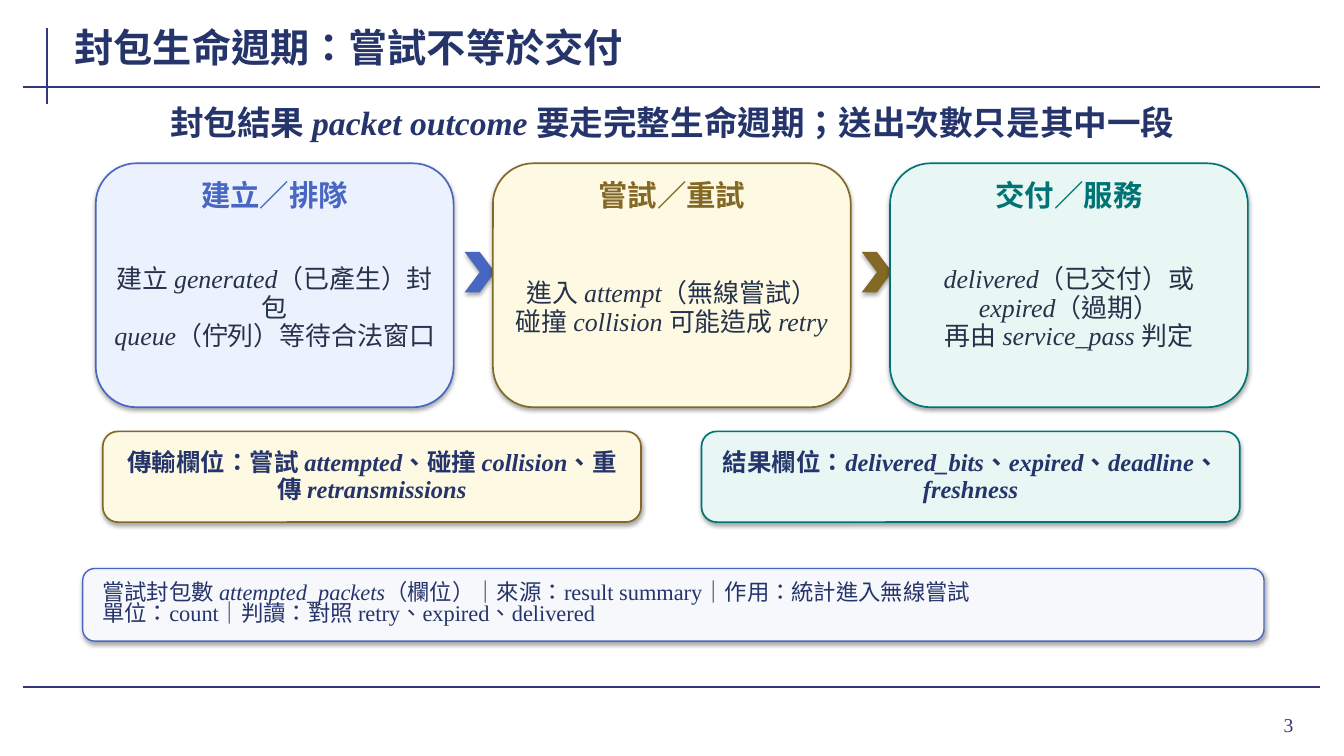
from lxml.etree import SubElement
from pptx import Presentation
from pptx.dml.color import RGBColor as Rgb
from pptx.enum.lang import MSO_LANGUAGE_ID as Lang
from pptx.enum.shapes import MSO_CONNECTOR as Conn, MSO_SHAPE as Form
from pptx.enum.text import MSO_ANCHOR as Anchor, MSO_AUTO_SIZE as Auto, PP_ALIGN as Align
from pptx.oxml.ns import qn
from pptx.util import Pt

HUES = {
    "rule": "35377F", "navy": "25356B", "ink": "25324A", "black": "000000",
    "blue": "4967C2", "gold": "846826", "teal": "007374",
    "blue_bg": "ECF1FE", "gold_bg": "FDF9E2", "teal_bg": "E8F7F4", "note_bg": "F7F8FC",
}
SLIM = (1.44, 0.72)

CARDS = [
    ("blue", "建立／排隊",
     ["建立 *generated*（已產生）封包", "*queue*（佇列）等待合法窗口"]),
    ("gold", "嘗試／重試",
     ["進入 *attempt*（無線嘗試）", "碰撞 *collision* 可能造成 *retry*"]),
    ("teal", "交付／服務",
     ["*delivered*（已交付）或 *expired*（過期）", "再由 *service_pass* 判定"]),
]
STRIPS = [
    ("gold", "傳輸欄位：嘗試 *attempted*、碰撞 *collision*、重傳 *retransmissions*"),
    ("teal", "結果欄位：*delivered_bits*、*expired*、*deadline*、*freshness*"),
]
NOTE = [
    "嘗試封包數 *attempted_packets*（欄位）｜來源：result summary｜作用：統計進入無線嘗試",
    "單位：count｜判讀：對照 retry、expired、delivered",
]


def tint(name):
    return Rgb.from_string(HUES[name])


class Deck:
    def __init__(self):
        self.prs = Presentation()
        self.prs.slide_width, self.prs.slide_height = Pt(960), Pt(540)
        self.slide = self.prs.slides.add_slide(self.prs.slide_layouts[5])
        self.shapes = self.slide.shapes
        self.face = "Times New Roman"

    def label(self, shape, lines, size, hue, bold=False, align=Align.CENTER,
              gap=1.0, pad=SLIM):
        """Fill a shape with paragraphs; *stars* enclose italic words."""
        frame = shape.text_frame
        side, edge = map(Pt, pad)
        form = {"word_wrap": True, "auto_size": Auto.NONE,
                "vertical_anchor": Anchor.MIDDLE,
                "margin_left": side, "margin_right": side,
                "margin_top": edge, "margin_bottom": edge}
        for key, val in form.items():
            setattr(frame, key, val)
        for num, line in enumerate(lines):
            para = frame.add_paragraph() if num else frame.paragraphs[0]
            para.alignment, para.line_spacing = align, gap
            for turn, part in enumerate(line.split("*")):
                if not part:
                    continue
                run = para.add_run()
                run.text = part
                style = {"name": self.face, "size": Pt(size), "bold": bold,
                         "italic": turn % 2 == 1,
                         "language_id": Lang.TRADITIONAL_CHINESE}
                for key, val in style.items():
                    setattr(run.font, key, val)
                run.font.color.rgb = tint(hue)

    def title(self, box, text):
        shape = self.shapes.title
        for key, val in zip(("left", "top", "width", "height"), box):
            setattr(shape, key, Pt(val))
        self.label(shape, [text], 28, "navy", True, Align.LEFT, pad=(1.44, 0))

    def text(self, box, lines, size, hue, **form):
        self.label(self.shapes.add_textbox(*map(Pt, box)), lines, size, hue, **form)

    def block(self, form, box, fill, line=None, width=1.2):
        shape = self.shapes.add_shape(form, *map(Pt, box))
        shape.fill.solid()
        shape.fill.fore_color.rgb = tint(fill)
        if line:
            shape.line.color.rgb = tint(line)
            shape.line.width = Pt(width)
        else:
            shape.line.fill.background()
        self.shade(shape)
        return shape

    def shade(self, shape):
        """Give the shape a soft shadow straight below it."""
        shape.shadow.inherit = False
        glow = SubElement(shape.element.spPr.find(qn("a:effectLst")), qn("a:outerShdw"),
                          blurRad=str(Pt(3.1)), dist=str(Pt(1.8)), dir="5400000",
                          algn="ctr", rotWithShape="0")
        hue = SubElement(glow, qn("a:srgbClr"), val=HUES["black"])
        SubElement(hue, qn("a:alpha"), val="35000")

    def rule(self, *ends):
        line = self.shapes.add_connector(Conn.STRAIGHT, *map(Pt, ends))
        line.line.color.rgb = tint("rule")
        line.line.width = Pt(1.5)
        SubElement(line.element.spPr, qn("a:effectLst"))

    def card(self, left, top, hue, head, body):
        self.block(Form.ROUNDED_RECTANGLE, (left, top, 255.6, 174.24), hue + "_bg", hue)
        self.text((left + 7.2, top + 8.64, 241.2, 27.36), [head], 21, hue, bold=True)
        self.text((left + 10.08, top + 41.76, 235.44, 123.84), body, 18.5, "ink", gap=0.92)


def main():
    deck = Deck()
    deck.rule(33.84, 20.16, 33.84, 74.16)
    for y in (61.92, 491.04):
        deck.rule(16.56, y, 943.2, y)
    deck.text((861.12, 498.96, 69.84, 37.44), ["3"], 14, "rule",
              align=Align.RIGHT, pad=(7.2, 3.6))
    deck.title((51.84, 14.4, 745.2, 38.16), "封包生命週期：嘗試不等於交付")
    deck.text((70.56, 72, 819.36, 30.24),
              ["封包結果 *packet outcome* 要走完整生命週期；送出次數只是其中一段"],
              24, "navy", bold=True)

    for num, (hue, head, body) in enumerate(CARDS):
        left, top = 68.4 + 283.68 * num, 116.64
        deck.card(left, top, hue, head, body)
        if num < len(CARDS) - 1:
            deck.block(Form.CHEVRON, (left + 263.52, top + 63.36, 21.6, 28.8), hue)

    for num, (hue, text) in enumerate(STRIPS):
        strip = deck.block(Form.ROUNDED_RECTANGLE,
                           (73.44 + 427.68 * num, 308.16, 384.48, 64.8), hue + "_bg", hue)
        deck.label(strip, [text], 17.5, "navy", True, gap=0.94, pad=(7.2, 2.88))

    note = deck.block(Form.ROUNDED_RECTANGLE, (59.04, 406.08, 843.84, 51.84),
                      "note_bg", "blue", 1)
    deck.label(note, NOTE, 16, "navy", align=Align.LEFT, gap=0.78, pad=(11.52, 1.44))
    deck.prs.save("out.pptx")


if __name__ == "__main__":
    main()
